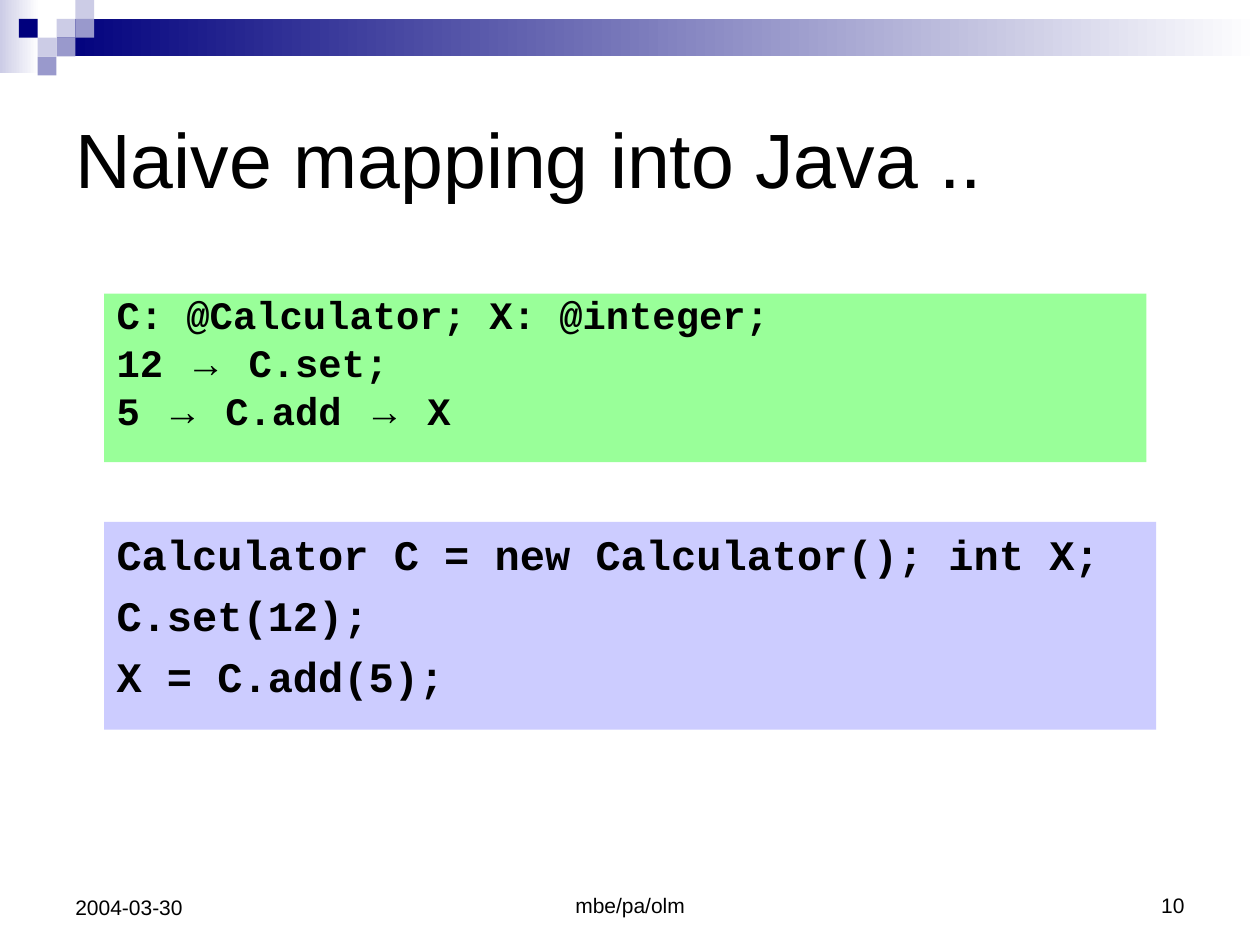
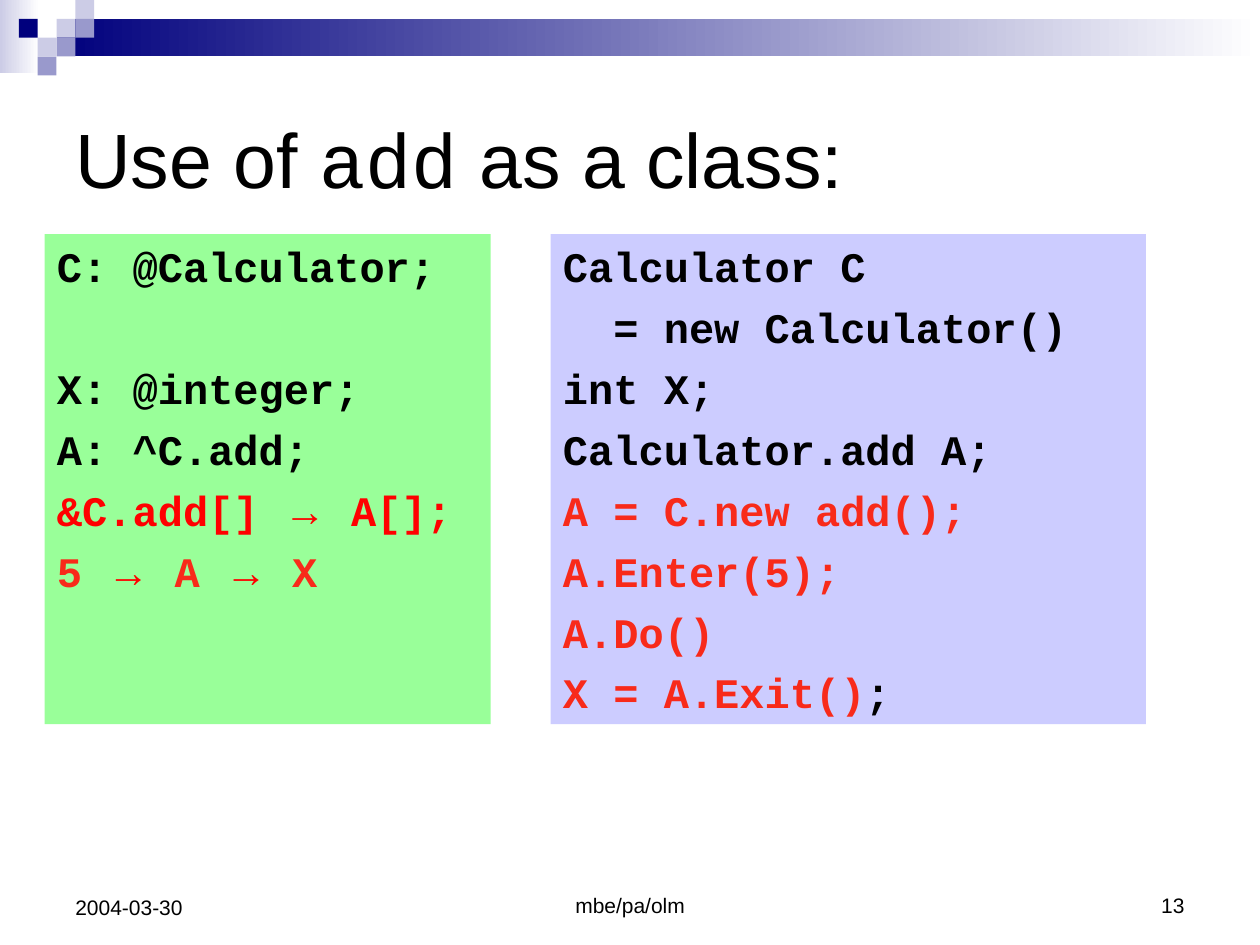
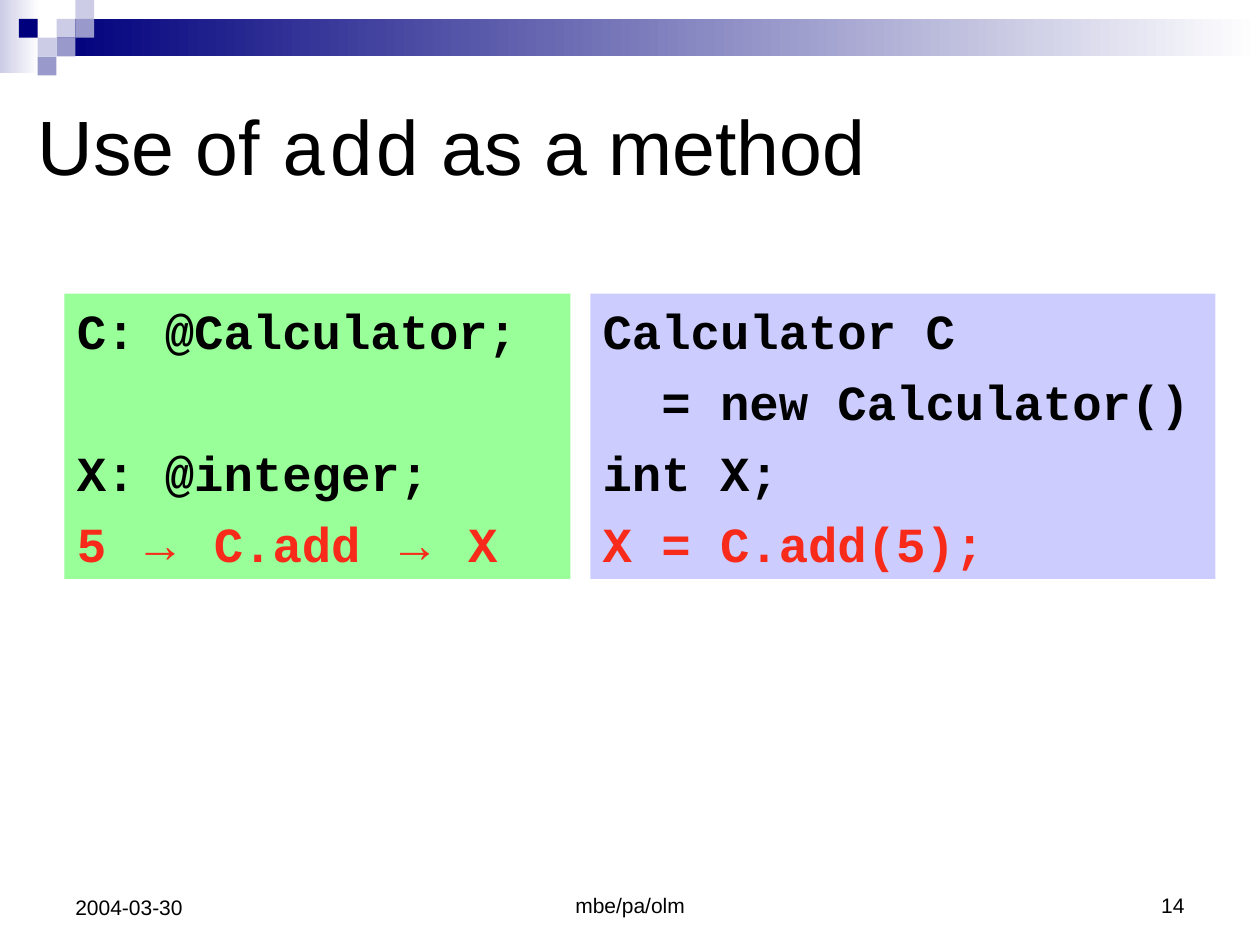
from pptx import Presentation
from pptx.dml.color import RGBColor
from pptx.enum.shapes import MSO_SHAPE as Shape
from pptx.enum.text import MSO_ANCHOR as Anchor, PP_ALIGN as Align
from pptx.util import Cm, Pt

COLORS = {
    "black": "000000",
    "white": "FFFFFF",
    "navy": "00007D",
    "lilac": "CCCCE6",
    "violet": "9999CC",
    "beta": "99FF99",
    "java": "CCCCFF",
    "red": "FF0000",
    "tomato": "F82A1A",
}
SANS, MONO = "Arial", "Courier New"
ARROW = "→"
MODULE = 0.38  # side of one square in the corner mosaic, in cm
INSET_X, INSET_Y = Cm(0.25), Cm(0.13)
LINE_FACTOR = 1.2
MOSAIC = [
    (3, 1, "lilac"), (4, 0, "lilac"), (4, 1, "violet"), (2, 2, "lilac"),
    (1, 1, "navy"), (3, 2, "violet"), (2, 3, "violet"),
]


def rgb(name):
    return RGBColor.from_string(COLORS[name])


def add_block(page, left, top, width, height, color, fade=False):
    """Add a borderless rectangle; fade runs it out to white on the right."""
    block = page.shapes.add_shape(
        Shape.RECTANGLE, Cm(left), Cm(top), Cm(width), Cm(height))
    block.shadow.inherit = False
    block.line.fill.background()
    if fade:
        block.fill.gradient()
        block.fill.gradient_angle = 0
        for stop, name in zip(block.fill.gradient_stops, (color, "white")):
            stop.color.rgb = rgb(name)
    else:
        block.fill.solid()
        block.fill.fore_color.rgb = rgb(color)
    return block


def add_span(para, text, size, font=SANS, color="black", bold=False):
    span = para.add_run()
    span.text = text
    span.font.size = Pt(size)
    span.font.name = font
    span.font.bold = bold
    span.font.color.rgb = rgb(color)


def set_frame(box, anchor):
    frame = box.text_frame
    frame.word_wrap = True
    frame.vertical_anchor = anchor
    frame.margin_left = frame.margin_right = INSET_X
    frame.margin_top = frame.margin_bottom = INSET_Y
    return frame


def add_label(page, left, top, width, height, spans, size, anchor, align=Align.LEFT):
    """Add one line of text given as (text, font) spans."""
    box = page.shapes.add_textbox(Cm(left), Cm(top), Cm(width), Cm(height))
    para = set_frame(box, anchor).paragraphs[0]
    para.alignment = align
    for text, font in spans:
        add_span(para, text, size, font)


def add_title(page, spans, left=1.27, top=1.27, width=22.86, height=3.81):
    add_label(page, left, top, width, height, spans, 44, Anchor.MIDDLE)


def add_code(page, left, top, width, height, color, lines, size, gap, spacing=None):
    """Add a code panel; a line is a list of (text, color) spans, None skips a line."""
    panel = add_block(page, left, top, width, height, color)
    frame = set_frame(panel, Anchor.TOP)
    before = 0
    for index, line in enumerate(lines):
        if line is None:
            before += gap + size * LINE_FACTOR
            continue
        para = frame.paragraphs[0] if index == 0 else frame.add_paragraph()
        para.alignment = Align.LEFT
        para.space_before = Pt(before)
        if spacing:
            para.line_spacing = spacing
        for text, ink in line:
            font = SANS if text == ARROW else MONO
            add_span(para, text, size, font, ink, bold=True)
        before = gap


def code(text, color="black", arrow_color=None):
    """Split a code line into spans, setting its arrows apart."""
    spans = []
    for index, part in enumerate(text.split(ARROW)):
        if index:
            spans.append((ARROW, arrow_color or color))
        spans.append((part, color))
    return spans


def add_page(deck, number):
    """Add a blank slide with the corner mosaic, the top band and the footer."""
    page = deck.slides.add_slide(deck.slide_layouts[6])
    add_block(page, 0, 0, 0.79, 1.47, "lilac", fade=True)
    add_block(page, 1.14, MODULE, 24.26, 0.76, "navy", fade=True)
    for column, row, color in MOSAIC:
        add_block(page, column * MODULE, row * MODULE, MODULE, MODULE, color)
    for left, width, height, text, align in (
        (8.68, 8.05, 1.28, "mbe/pa/olm", Align.CENTER),
        (18.21, 5.92, 1.28, str(number), Align.RIGHT),
        (1.27, 5.92, 1.32, "2004-03-30", Align.LEFT),
    ):
        add_label(page, left, 17.35, width, height, [(text, SANS)], 12,
                  Anchor.BOTTOM, align)
    return page


def add_naive_mapping(deck):
    page = add_page(deck, 10)
    add_title(page, [("Naive mapping into Java ..", SANS)])
    add_code(page, 2.1, 10.52, 21.21, 4.19, "java", [
        code("Calculator C = new Calculator(); int X;"),
        code("C.set(12);"),
        code("X = C.add(5);"),
    ], size=24, gap=6)
    add_code(page, 2.1, 5.92, 21.01, 3.4, "beta", [
        code("C: @Calculator; X: @integer;"),
        code("12 → C.set;"),
        code("5 → C.add → X"),
    ], size=22.2, gap=6, spacing=0.8)


def add_class_use(deck):
    page = add_page(deck, 13)
    add_title(page, [("Use of ", SANS), ("add", MONO), (" as a class:", SANS)])
    add_code(page, 0.9, 4.72, 8.99, 9.88, "beta", [
        code("C: @Calculator;"),
        None,
        code("X: @integer;"),
        code("A: ^C.add;"),
        code("&C.add[] → A[];", "red"),
        code("5 → A → X", "tomato", arrow_color="red"),
    ], size=24, gap=6)
    add_code(page, 11.1, 4.72, 12, 9.88, "java", [
        code("Calculator C"),
        code("  = new Calculator()"),
        code("int X;"),
        code("Calculator.add A;"),
        code("A = C.new add();", "tomato"),
        code("A.Enter(5);", "tomato"),
        code("A.Do()", "tomato"),
        code("X = A.Exit()", "tomato") + code(";"),
    ], size=24, gap=6)


def add_method_use(deck):
    page = add_page(deck, 14)
    add_title(page, [("Use of ", SANS), ("add", MONO), (" as a method", SANS)],
              left=0.51, top=2.32, width=23.01, height=1.2)
    add_code(page, 1.3, 5.92, 10.2, 5.75, "beta", [
        code("C: @Calculator;"),
        None,
        code("X: @integer;"),
        code("5 → C.add → X", "tomato"),
    ], size=28, gap=7)
    add_code(page, 11.9, 5.92, 12.6, 5.75, "java", [
        code("Calculator C"),
        code("  = new Calculator()"),
        code("int X;"),
        code("X = C.add(5);", "tomato"),
    ], size=28, gap=7)


def main():
    deck = Presentation()
    deck.slide_width, deck.slide_height = Cm(25.4), Cm(19.05)
    add_naive_mapping(deck)
    add_class_use(deck)
    add_method_use(deck)
    deck.save("out.pptx")


if __name__ == "__main__":
    main()
